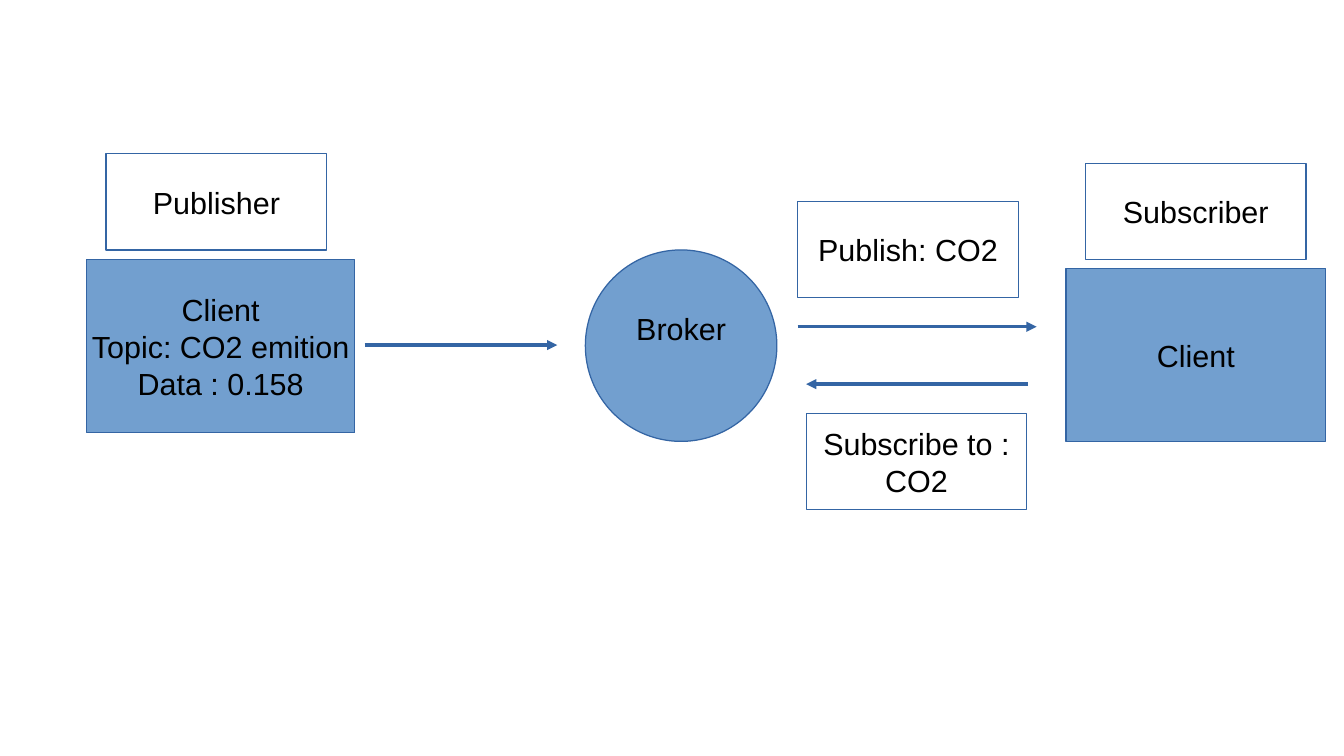
from lxml.etree import SubElement
from pptx import Presentation
from pptx.dml.color import RGBColor
from pptx.enum.shapes import MSO_CONNECTOR, MSO_SHAPE
from pptx.enum.text import MSO_ANCHOR, PP_ALIGN
from pptx.oxml.ns import qn
from pptx.util import Inches, Pt

BLUE = RGBColor(0x72, 0x9F, 0xCF)
DARK_BLUE = RGBColor(0x34, 0x65, 0xA4)
BLACK = RGBColor(0, 0, 0)

LABEL_SIZE = (1.81, 0.79)
BROKER_SIZE = (1.57, 1.57)
LINE_HEIGHT = 0.29


def set_format(target, values):
    """Set every attribute named in a dict of format values."""
    for name, value in values.items():
        setattr(target, name, value)


class Diagram:
    """Holds the style and the slide on which the diagram is drawn."""

    font_format = {"name": "Arial", "size": Pt(18)}
    frame_format = {
        "word_wrap": False,
        "vertical_anchor": MSO_ANCHOR.MIDDLE,
        "margin_left": Inches(0.1),
        "margin_right": Inches(0.1),
        "margin_top": Inches(0.05),
    }

    def __init__(self, slide):
        """Keep the slide to draw on."""
        self.slide = slide

    def outline(self, line):
        """Give a line the hairline style."""
        line.color.rgb = DARK_BLUE
        line.width = Pt(0)

    def node(self, position, size, lines, fill=BLUE, kind=MSO_SHAPE.RECTANGLE,
             bottom=0.05):
        """Draw a shape with centred lines of text."""
        shape = self.slide.shapes.add_shape(
            kind, *map(Inches, position), *map(Inches, size))
        shape.shadow.inherit = False
        if fill is None:
            shape.fill.background()
        else:
            shape.fill.solid()
            shape.fill.fore_color.rgb = fill
        self.outline(shape.line)
        frame = shape.text_frame
        set_format(frame, {**self.frame_format, "margin_bottom": Inches(bottom)})
        frame.text = "\n".join(lines)
        for paragraph in frame.paragraphs:
            paragraph.alignment = PP_ALIGN.CENTER
            font = paragraph.runs[0].font
            set_format(font, self.font_format)
            font.color.rgb = BLACK

    def label(self, position, *lines):
        """Draw an unfilled caption box of the common size."""
        self.node(position, LABEL_SIZE, lines, fill=None)

    def arrow(self, start, end, height):
        """Draw a horizontal arrow from start to end."""
        connector = self.slide.shapes.add_connector(
            MSO_CONNECTOR.STRAIGHT,
            *map(Inches, (start, height, end, height)))
        self.outline(connector.line)
        properties = connector.element.spPr
        SubElement(properties.find(qn("a:ln")), qn("a:tailEnd"), type="triangle")
        SubElement(properties, qn("a:effectLst"))


def main():
    """Build the publish and subscribe slide."""
    presentation = Presentation()
    presentation.slide_width = Inches(11.02)
    presentation.slide_height = Inches(6.2)
    slide = presentation.slides.add_slide(presentation.slide_layouts[6])
    diagram = Diagram(slide)

    diagram.node((0.71, 2.13), (2.2, 1.42),
                 ["Client", "Topic: CO2 emition", "Data : 0.158"])
    diagram.arrow(2.99, 4.57, 2.83)
    # The wider bottom margin lifts the text half a line above the centre.
    diagram.node((4.8, 2.05), BROKER_SIZE, ["Broker"], kind=MSO_SHAPE.OVAL,
                 bottom=0.05 + LINE_HEIGHT)
    diagram.arrow(6.54, 8.5, 2.68)
    diagram.arrow(8.43, 6.61, 3.15)
    diagram.node((8.74, 2.2), (2.13, 1.42), ["Client"])

    diagram.label((0.87, 1.26), "Publisher")
    diagram.label((8.9, 1.34), "Subscriber")
    diagram.label((6.61, 3.39), "Subscribe to :", "CO2")
    diagram.label((6.54, 1.65), "Publish: CO2")

    presentation.save("out.pptx")


main()
